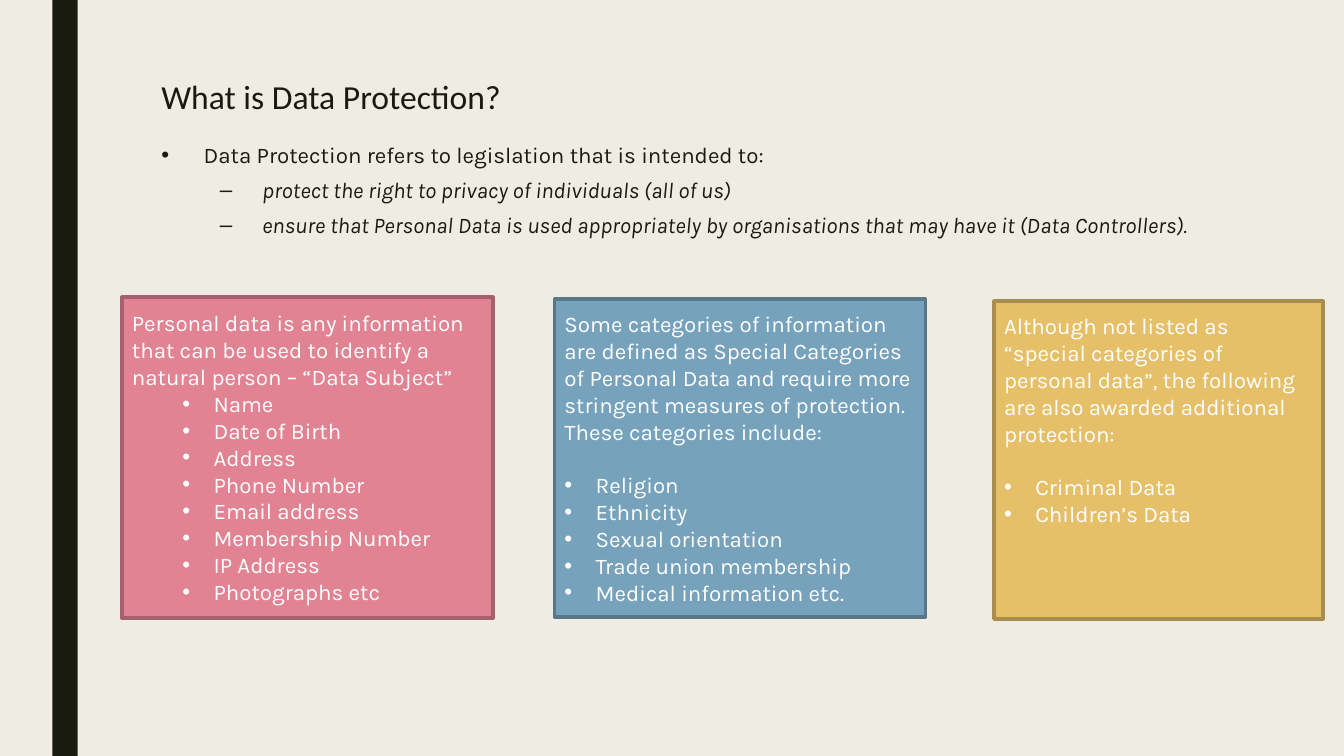
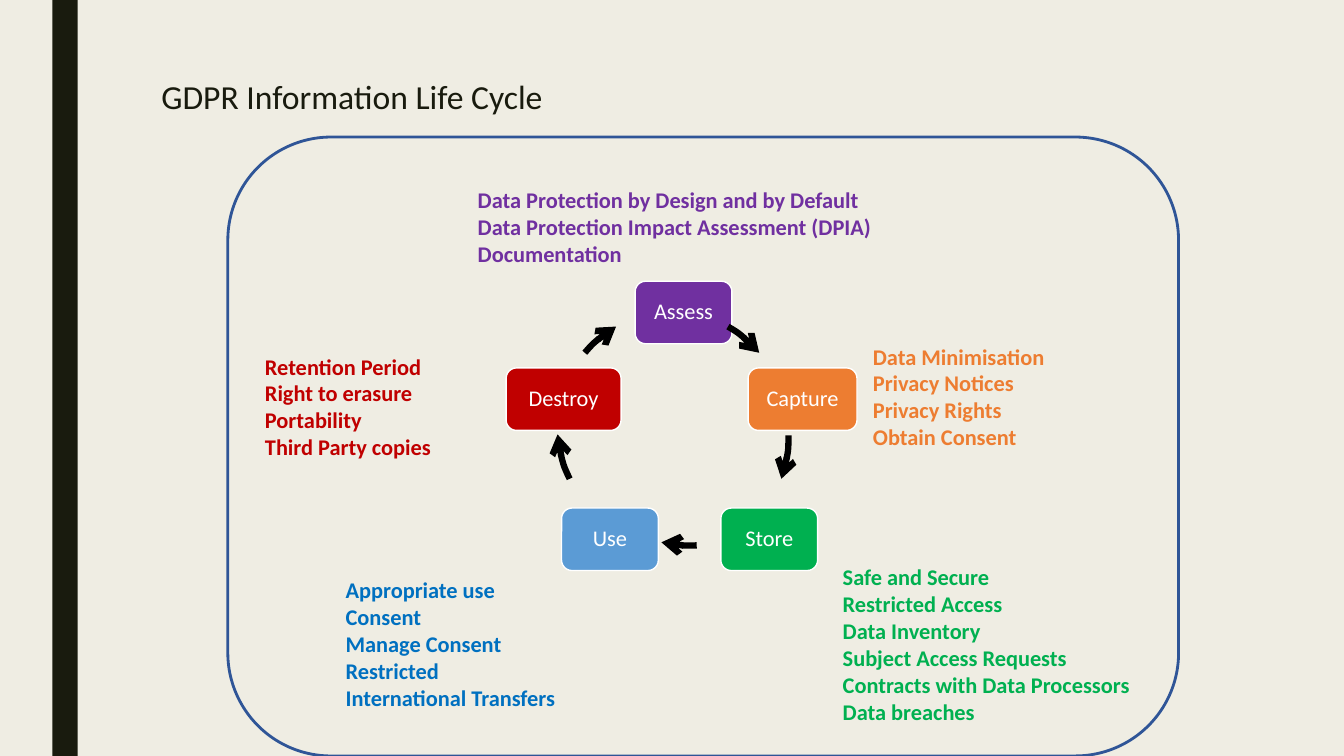
import dataclasses
import math

import lxml.etree
import pptx
import pptx.dml.color
import pptx.enum.shapes
import pptx.enum.text
import pptx.oxml.ns
import pptx.util

Inches = pptx.util.Inches
Pt = pptx.util.Pt
qn = pptx.oxml.ns.qn
Preset = pptx.enum.shapes.MSO_SHAPE
Align = pptx.enum.text.PP_ALIGN
Anchor = pptx.enum.text.MSO_ANCHOR
AutoSize = pptx.enum.text.MSO_AUTO_SIZE


@dataclasses.dataclass(frozen=True)
class Theme:
    paper: str = "EFEDE3"
    ink: str = "191B0E"
    white: str = "FFFFFF"
    arrow: str = "000000"
    frame: str = "2F5597"
    pink: str = "E28394"
    pink_edge: str = "A7616D"
    blue: str = "77A2BB"
    blue_edge: str = "58788A"
    gold: str = "E6C069"
    gold_edge: str = "AA8E4E"
    assess: str = "7030A0"
    capture: str = "ED7D31"
    store: str = "00B050"
    use: str = "5B9BD5"
    use_note: str = "0070C0"
    destroy: str = "C00000"
    heading_font: str = "Calibri"
    body_font: str = "Karla"
    title_size: int = 24
    text_size: int = 16


THEME = Theme()

LEGISLATION = [
    (0, "Data Protection refers to legislation that is intended to:"),
    (1, "protect the right to privacy of individuals (all of us)"),
    (1, "ensure that Personal Data is used appropriately by organisations "
        "that may have it (Data Controllers)."),
]

CARDS = [
    ((1.21, 2.95, 3.68, 3.18), THEME.pink, THEME.pink_edge, 0.12, 0.81, 0,
     "Personal data is any information that can be used to identify a "
     "natural person – “Data Subject”",
     ["Name", "Date of Birth", "Address", "Phone Number", "Email address",
      "Membership Number", "IP Address", "Photographs etc"]),
    ((5.5, 2.97, 3.68, 3.15), THEME.blue, THEME.blue_edge, 0.11, 0.31, 19,
     "Some categories of information are defined as Special Categories of "
     "Personal Data and require more stringent measures of protection. "
     "These categories include:",
     ["Religion", "Ethnicity", "Sexual orientation",
      "Trade union membership", "Medical information etc."]),
    ((9.86, 2.99, 3.26, 3.15), THEME.gold, THEME.gold_edge, 0.11, 0.31, 19,
     "Although not listed as “special categories of personal data”, the "
     "following are also awarded additional protection:",
     ["Criminal Data", "Children’s Data"]),
]

STAGE_HEIGHT = 0.62
STAGES = [
    ("Assess", 6.3, 2.79, 0.96, THEME.assess),
    ("Capture", 7.42, 3.65, 1.08, THEME.capture),
    ("Store", 7.15, 5.04, 0.96, THEME.store),
    ("Use", 5.57, 5.04, 0.96, THEME.use),
    ("Destroy", 5.02, 3.65, 1.14, THEME.destroy),
]

CYCLE_DIAMETER = 2.49
ARC_UNITS_PER_DEGREE = 0.6
CYCLE_ARROWS = [
    ((7.22, 3.24), (7.53, 3.5)),
    ((7.82, 4.32), (7.75, 4.75)),
    ((6.91, 5.41), (6.56, 5.38)),
    ((5.65, 4.75), (5.53, 4.31)),
    ((5.8, 3.5), (6.11, 3.24)),
]

STAGE_NOTES = [
    ((4.64, 1.8, 5.16, 0.91), THEME.assess,
     ["Data Protection by Design and by Default",
      "Data Protection Impact Assessment (DPIA)", "Documentation"]),
    ((2.53, 3.45, 2.57, 1.18), THEME.destroy,
     ["Retention Period", "Right to erasure", "Portability",
      "Third Party copies"]),
    ((3.33, 5.67, 2.94, 1.45), THEME.use_note,
     ["Appropriate use", "Consent", "Manage Consent", "Restricted",
      "International Transfers"]),
    ((8.26, 5.54, 3.92, 1.72), THEME.store,
     ["Safe and Secure", "Restricted Access", "Data Inventory",
      "Subject Access Requests", "Contracts with Data Processors",
      "Data breaches"]),
    ((8.56, 3.35, 2.86, 1.18), THEME.capture,
     ["Data Minimisation", "Privacy Notices", "Privacy Rights",
      "Obtain Consent"]),
]


def rgb(color):
    return pptx.dml.color.RGBColor.from_string(color)


def style(paragraph, font, color, size=THEME.text_size, bold=False,
          italic=False, align=Align.LEFT):
    paragraph.alignment = align
    paragraph.font.name = font
    paragraph.font.size = Pt(size)
    paragraph.font.color.rgb = rgb(color)
    paragraph.font.bold = bold
    paragraph.font.italic = italic


def add_bullet(paragraph, mark, indent, hanging):
    properties = paragraph._p.get_or_add_pPr()
    properties.set("marL", str(Inches(indent)))
    properties.set("indent", str(-Inches(hanging)))
    lxml.etree.SubElement(properties, qn("a:buFont"), typeface="Arial")
    lxml.etree.SubElement(properties, qn("a:buChar"), char=mark)


def write_lines(frame, lines):
    frame.text = "\n".join(lines)
    return frame.paragraphs


def place(placeholder, box):
    (placeholder.left, placeholder.top,
     placeholder.width, placeholder.height) = map(Inches, box)
    frame = placeholder.text_frame
    frame.auto_size = AutoSize.NONE
    frame.vertical_anchor = Anchor.TOP
    return frame


def add_block(slide, preset, box, fill=None, edge=None, edge_width=1):
    block = slide.shapes.add_shape(preset, *map(Inches, box))
    block.shadow.inherit = False
    if fill:
        block.fill.solid()
        block.fill.fore_color.rgb = rgb(fill)
    else:
        block.fill.background()
    if edge:
        block.line.color.rgb = rgb(edge)
        block.line.width = Pt(edge_width)
    else:
        block.line.fill.background()
    return block


def add_title(slide, text):
    frame = place(slide.shapes.title, (1.5, 0.75, 10.5, 0.82))
    heading, = write_lines(frame, [text])
    heading.line_spacing = 0.89
    style(heading, THEME.heading_font, THEME.ink, THEME.title_size)


def add_legislation(slide):
    frame = place(slide.placeholders[1], (1.5, 1.37, 11.62, 4.76))
    paragraphs = write_lines(frame, [text for _, text in LEGISLATION])
    for paragraph, (level, _) in zip(paragraphs, LEGISLATION):
        paragraph.level = level
        paragraph.line_spacing = 0.94
        paragraph.space_before = Pt(5 if level else 10)
        paragraph.space_after = Pt(2)
        add_bullet(paragraph, "•–"[level], (0.42, 1)[level], 0.42)
        style(paragraph, THEME.body_font, THEME.ink, italic=level == 1)


def add_card(slide, box, fill, edge, top_margin, indent, gap, intro, items):
    card = add_block(slide, Preset.RECTANGLE, box, fill, edge, 2.75)
    frame = card.text_frame
    frame.word_wrap = True
    frame.vertical_anchor = Anchor.TOP
    frame.margin_top = Inches(top_margin)
    opening, *entries = write_lines(frame, [intro, *items])
    entries[0].space_before = Pt(gap)
    for entry in entries:
        add_bullet(entry, "•", indent, 0.31)
    for paragraph in (opening, *entries):
        style(paragraph, THEME.body_font, THEME.white)


def add_stage(slide, name, left, top, width, fill):
    stage = add_block(slide, Preset.ROUNDED_RECTANGLE,
                      (left, top, width, STAGE_HEIGHT), fill, THEME.white)
    frame = stage.text_frame
    frame.margin_left = frame.margin_right = Inches(0.07)
    frame.vertical_anchor = Anchor.MIDDLE
    label, = write_lines(frame, [name])
    label.line_spacing = 0.9
    style(label, THEME.heading_font, THEME.white, align=Align.CENTER)


def add_cycle_arrow(slide, start, end):
    radius = CYCLE_DIAMETER / 2
    dx, dy = end[0] - start[0], end[1] - start[1]
    chord = math.hypot(dx, dy)
    inward = math.sqrt(radius ** 2 - chord ** 2 / 4) / chord
    center_x = (start[0] + end[0]) / 2 - inward * dy
    center_y = (start[1] + end[1]) / 2 + inward * dx
    arrow = add_block(slide, Preset.ARC,
                      (center_x - radius, center_y - radius,
                       CYCLE_DIAMETER, CYCLE_DIAMETER),
                      edge=THEME.arrow, edge_width=4.5)
    for index, (x, y) in enumerate((start, end)):
        angle = math.degrees(math.atan2(y - center_y, x - center_x)) % 360
        arrow.adjustments[index] = angle * ARC_UNITS_PER_DEGREE
    stroke = arrow.element.spPr.find(qn("a:ln"))
    lxml.etree.SubElement(stroke, qn("a:tailEnd"), type="arrow")


def add_stage_note(slide, box, color, lines):
    note = slide.shapes.add_textbox(*map(Inches, box))
    frame = note.text_frame
    frame.word_wrap = True
    frame.auto_size = AutoSize.SHAPE_TO_FIT_TEXT
    for paragraph in write_lines(frame, lines):
        style(paragraph, THEME.heading_font, color, bold=True)


def dress_master(deck, slide):
    master = deck.slide_master
    master.background.fill.solid()
    master.background.fill.fore_color.rgb = rgb(THEME.paper)
    band = add_block(slide, Preset.RECTANGLE, (0.52, 0, 0.25, 7.5), THEME.ink)
    master.shapes.element.insert(2, band.element)


def build_definition(slide):
    add_title(slide, "What is Data Protection?")
    add_legislation(slide)
    for card in CARDS:
        add_card(slide, *card)


def build_life_cycle(slide):
    add_title(slide, "GDPR Information Life Cycle")
    for stage in STAGES:
        add_stage(slide, *stage)
    for start, end in CYCLE_ARROWS:
        add_cycle_arrow(slide, start, end)
    add_block(slide, Preset.ROUNDED_RECTANGLE, (2.26, 1.36, 9.43, 6.14),
              edge=THEME.frame, edge_width=2)
    for note in STAGE_NOTES:
        add_stage_note(slide, *note)


def main():
    deck = pptx.Presentation()
    deck.slide_width = Inches(13.33)
    deck.slide_height = Inches(7.5)
    title_and_content, title_only = deck.slide_layouts[1], deck.slide_layouts[5]
    definition = deck.slides.add_slide(title_and_content)
    dress_master(deck, definition)
    build_definition(definition)
    build_life_cycle(deck.slides.add_slide(title_only))
    deck.save("out.pptx")


if __name__ == "__main__":
    main()
